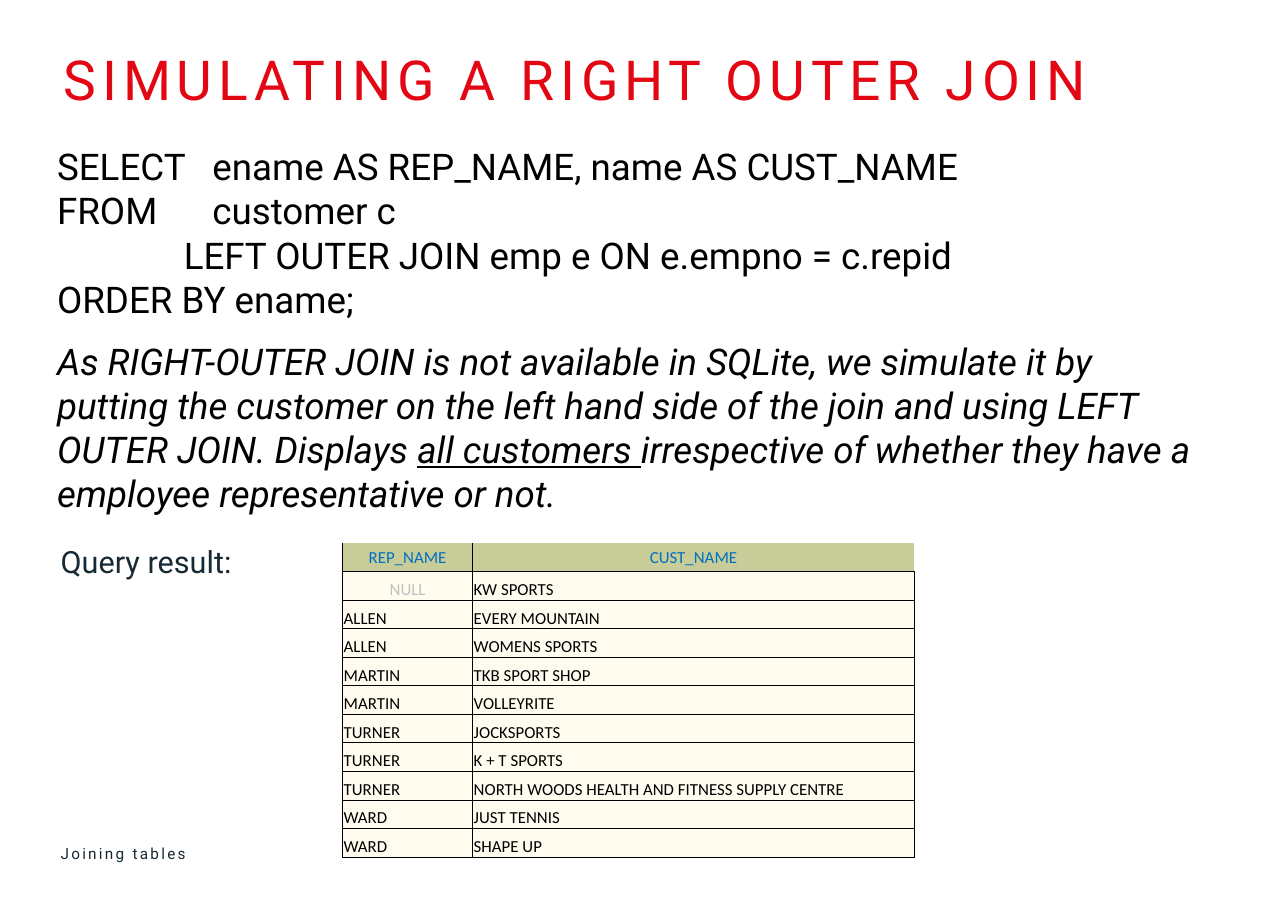
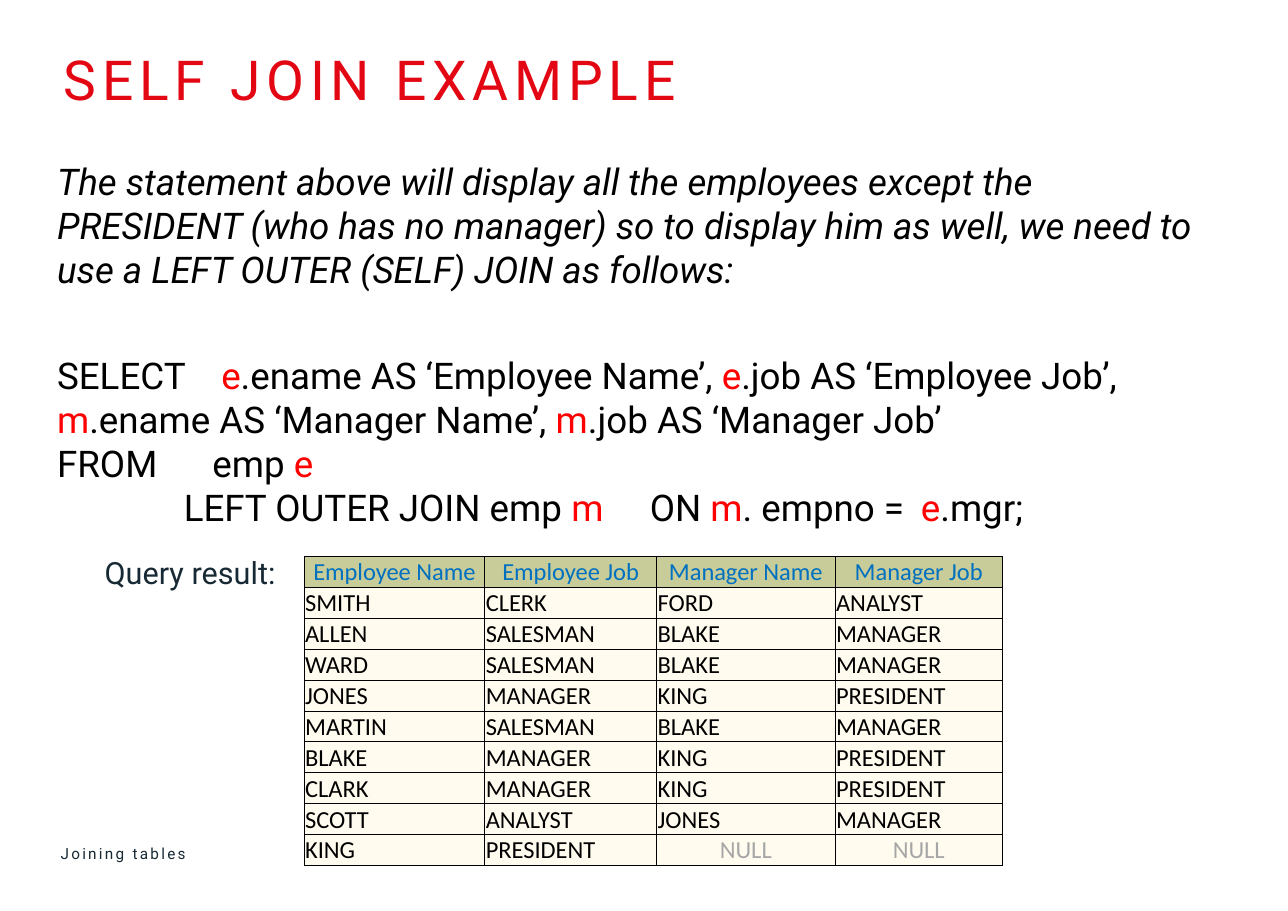
from lxml import etree
from pptx import Presentation
from pptx import util as u
from pptx.dml.color import RGBColor
from pptx.enum import text
from pptx.oxml.ns import qn

WIDTH, HEIGHT = 11.69, 8.27
COLORS = {"title": "E30613", "ink": "172934", "black": "000000", "alias": "FF0000",
          "header_text": "0070C0", "header": "C8CC98", "body": "FFFBEF"}
FOOTER = "Joining tables"
ALIAS = {"color": "alias"}
SIDES = ("L", "R", "T", "B")

SLIDES = [
    {
        "title": "SIMULATING A RIGHT OUTER JOIN",
        "body_top": 1.26,
        "body": [
            {"content": "SELECT\tename AS REP_NAME, name AS CUST_NAME", "tabs": [1.41]},
            {"content": "FROM\tcustomer c", "tabs": [1.41]},
            {"content": "\tLEFT OUTER JOIN emp e ON e.empno = c.repid", "tabs": [1.15]},
            {"content": "ORDER BY ename;"},
            {"content": "As RIGHT-OUTER JOIN is not available in SQLite, we simulate it by "
                        "putting the customer on the left hand side of the join and using "
                        "LEFT OUTER JOIN. Displays |all customers |irrespective of whether "
                        "they have a employee representative or not.",
             "italic": True, "before": 12, "accent": {"underline": True}},
        ],
        "label_at": (0.55, 4.93),
        "table": {
            "at": (3.11, 4.93), "columns": [1.18, 4.01], "row_height": 2.85 / 11,
            "size": 11, "null": "BFBFBF", "open_header": True,
            "rows": [
                ("REP_NAME", "CUST_NAME"),
                ("NULL", "KW SPORTS"),
                ("ALLEN", "EVERY MOUNTAIN"),
                ("ALLEN", "WOMENS SPORTS"),
                ("MARTIN", "TKB SPORT SHOP"),
                ("MARTIN", "VOLLEYRITE"),
                ("TURNER", "JOCKSPORTS"),
                ("TURNER", "K + T SPORTS"),
                ("TURNER", "NORTH WOODS HEALTH AND FITNESS SUPPLY CENTRE"),
                ("WARD", "JUST TENNIS"),
                ("WARD", "SHAPE UP"),
            ],
        },
    },
    {
        "title": "SELF JOIN EXAMPLE",
        "body_top": 1.39,
        "body": [
            {"content": "The statement above will display all the employees except the "
                        "PRESIDENT (who has no manager) so to display him as well, we need "
                        "to use a LEFT OUTER (SELF) JOIN as follows:", "italic": True},
            {"content": "SELECT\t|e|.ename AS ‘Employee Name’, |e|.job AS ‘Employee Job’, "
                        "|m|.ename AS ‘Manager Name’, |m|.job AS ‘Manager Job’",
             "tabs": [1.49], "before": 40.5, "accent": ALIAS},
            {"content": "FROM\temp |e|", "tabs": [1.41], "accent": ALIAS},
            {"content": "\tLEFT OUTER JOIN emp |m|\tON |m|. empno =\t|e|.mgr;",
             "tabs": [1.15, 5.38, 7.84], "accent": ALIAS},
        ],
        "label_at": (0.95, 5.03),
        "table": {
            "at": (2.76, 5.05), "columns": [1.64, 1.56, 1.62, 1.52], "row_height": 2.81 / 10,
            "size": 16, "null": "A6A6A6", "open_header": False,
            "rows": [
                ("Employee Name", "Employee Job", "Manager Name", "Manager Job"),
                ("SMITH", "CLERK", "FORD", "ANALYST"),
                ("ALLEN", "SALESMAN", "BLAKE", "MANAGER"),
                ("WARD", "SALESMAN", "BLAKE", "MANAGER"),
                ("JONES", "MANAGER", "KING", "PRESIDENT"),
                ("MARTIN", "SALESMAN", "BLAKE", "MANAGER"),
                ("BLAKE", "MANAGER", "KING", "PRESIDENT"),
                ("CLARK", "MANAGER", "KING", "PRESIDENT"),
                ("SCOTT", "ANALYST", "JONES", "MANAGER"),
                ("KING", "PRESIDENT", "NULL", "NULL"),
            ],
        },
    },
]


def write(para, content, size=24, font="Roboto", color="black", italic=False,
          underline=False, spacing=0, before=0, tabs=(), align=None, accent=None):
    para.alignment = align
    if before:
        para.space_before = u.Pt(before)
    if tabs:
        stops = etree.SubElement(para._p.get_or_add_pPr(), qn("a:tabLst"))
        for stop in tabs:
            etree.SubElement(stops, qn("a:tab"), pos=str(u.Inches(stop)), algn="l")
    for index, piece in enumerate(content.split("|")):
        if not piece:
            continue
        style = {"color": color, "underline": underline}
        if index % 2:
            style.update(accent)
        span = para.add_run()
        span.text = piece
        span.font.size = u.Pt(size)
        span.font.name = font
        span.font.italic = italic
        span.font.underline = style["underline"]
        span.font.color.rgb = RGBColor.from_string(COLORS.get(style["color"], style["color"]))
        if spacing:
            span.font._element.set("spc", str(round(spacing * 100)))


def add_text(page, at, paragraphs, inset=(0, 0), anchor=text.MSO_ANCHOR.TOP):
    frame = page.shapes.add_textbox(*map(u.Inches, at)).text_frame
    frame.word_wrap = True
    frame.vertical_anchor = anchor
    frame.margin_left = frame.margin_right = u.Inches(inset[0])
    frame.margin_top = frame.margin_bottom = u.Inches(inset[1])
    for index, paragraph in enumerate(paragraphs):
        para = frame.add_paragraph() if index else frame.paragraphs[0]
        write(para, **paragraph)


def set_borders(cell, hidden):
    properties = cell._tc.get_or_add_tcPr()
    for side in SIDES:
        line = etree.SubElement(properties, qn("a:ln" + side), w=str(u.Pt(0.5)))
        if side in hidden:
            etree.SubElement(line, qn("a:noFill"))
        else:
            fill = etree.SubElement(line, qn("a:solidFill"))
            etree.SubElement(fill, qn("a:srgbClr"), val=COLORS["black"])


def add_result(page, at, columns, row_height, size, null, open_header, rows):
    extent = (sum(columns), row_height * len(rows))
    table = page.shapes.add_table(len(rows), len(columns),
                                  *map(u.Inches, at + extent)).table
    table.first_row = table.horz_banding = False
    for column, width in zip(table.columns, columns):
        column.width = u.Inches(width)
    for r, row in enumerate(rows):
        table.rows[r].height = u.Inches(row_height)
        for c, value in enumerate(row):
            cell = table.cell(r, c)
            header = r == 0
            hidden = ""
            if header and open_header:
                hidden = "TR" if c == len(columns) - 1 else "T"
            set_borders(cell, hidden)
            cell.fill.solid()
            cell.fill.fore_color.rgb = RGBColor.from_string(
                COLORS["header" if header else "body"])
            cell.margin_left = cell.margin_right = cell.margin_top = u.Inches(0.01)
            cell.margin_bottom = 0
            cell.vertical_anchor = text.MSO_ANCHOR.MIDDLE if header else text.MSO_ANCHOR.BOTTOM
            color = "header_text" if header else null if value == "NULL" else "black"
            centred = header or value == "NULL"
            write(cell.text_frame.paragraphs[0], value, size=size, font="Calibri", color=color,
                  align=text.PP_ALIGN.CENTER if centred else text.PP_ALIGN.LEFT)


def build(deck, content):
    page = deck.slides.add_slide(deck.slide_layouts[6])
    add_text(page, (0.55, 7.64, 7.29, 0.22),
             [{"content": FOOTER, "size": 10, "color": "ink", "spacing": 1.5}],
             anchor=text.MSO_ANCHOR.MIDDLE)
    add_text(page, (0.58, 0.41, 10.71, 0.72),
             [{"content": content["title"], "size": 36, "color": "title", "spacing": 3.8}])
    add_text(page, (0.42, content["body_top"], 10.54, 3.53), content["body"], inset=(0.1, 0.05))
    add_result(page, **content["table"])
    add_text(page, content["label_at"] + (2, 0.34),
             [{"content": "Query result:", "size": 20, "color": "ink"}])


def main():
    deck = Presentation()
    deck.slide_width, deck.slide_height = u.Inches(WIDTH), u.Inches(HEIGHT)
    for content in SLIDES:
        build(deck, content)
    deck.save("out.pptx")


if __name__ == "__main__":
    main()
